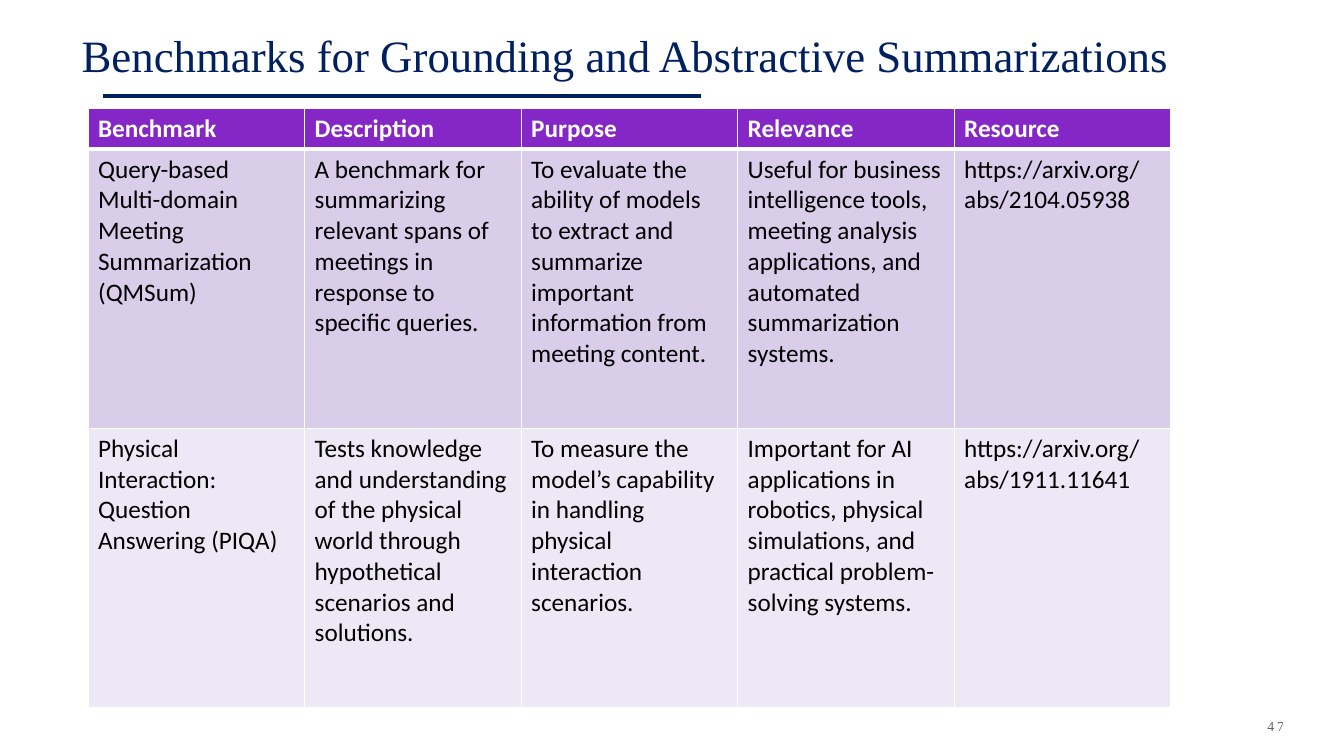
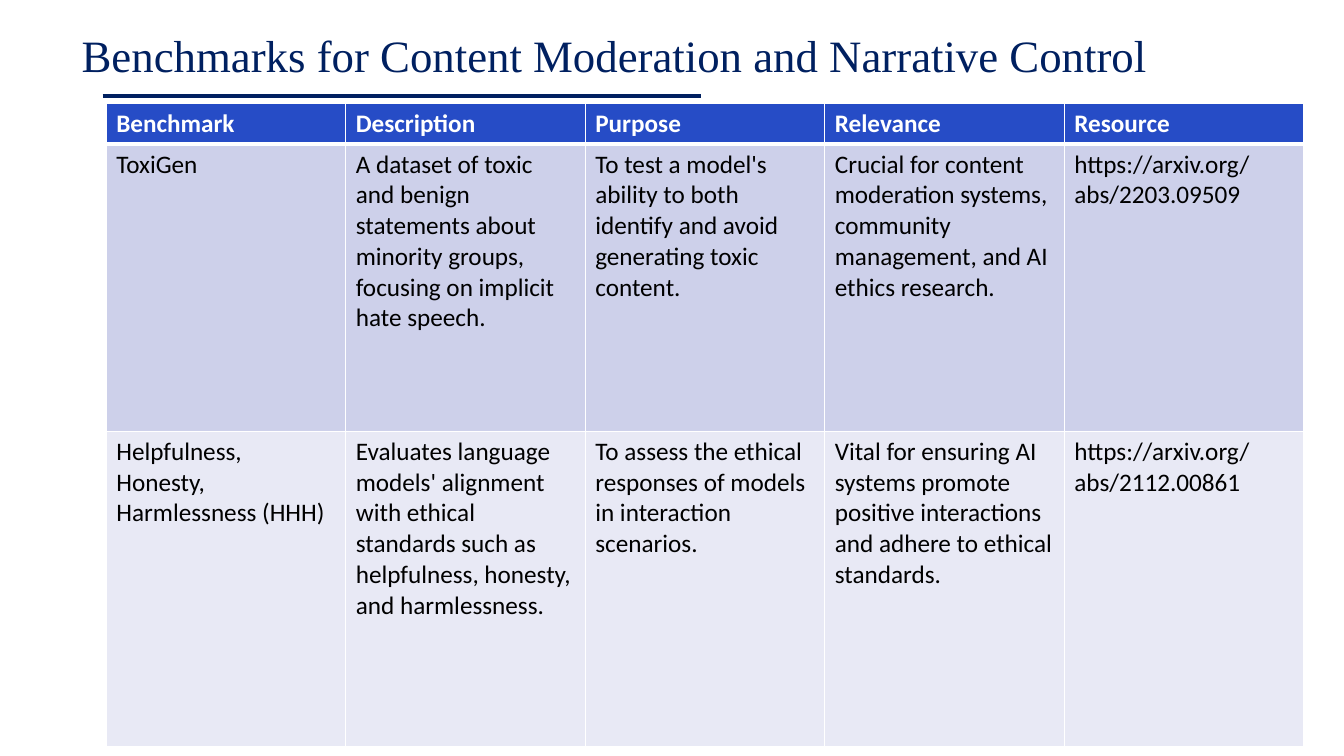
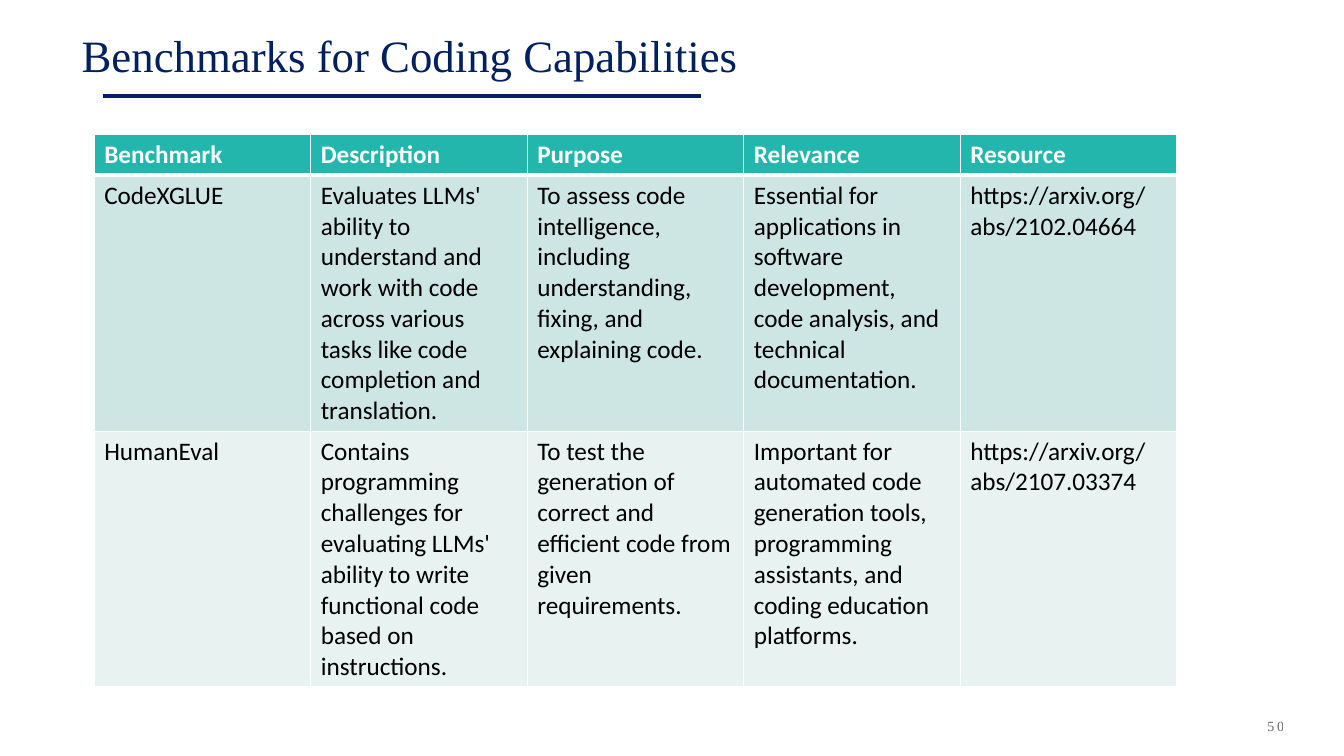
from pptx import Presentation
from pptx.util import Pt
from pptx.dml.color import RGBColor as Rgb
from pptx.enum.shapes import MSO_CONNECTOR as Conn
from pptx.enum.text import MSO_ANCHOR as Anchor, MSO_AUTO_SIZE as Fit, PP_ALIGN as Align
from pptx.oxml import parse_xml
from pptx.oxml.ns import nsdecls
from lxml.etree import SubElement

NS = "{http://schemas.openxmlformats.org/drawingml/2006/main}"
SERIF, SANS = "Times New Roman", "Calibri"
HEX = {"navy": "002060", "white": "FFFFFF", "black": "000000"}
HEADS = ["Benchmark", "Description", "Purpose", "Relevance", "Resource"]

DECK = [
    {
        "title": "Benchmarks for Grounding and Abstractive Summarizations",
        "page": "47",
        "left": 62.9, "top": 77.3, "width": 773.3,
        "rows": [29.2, 199.4, 199.4],
        "fills": ["8526C6", "D9CDEA", "EDE8F5"],
        "cells": [
            ["Query-based Multi-domain Meeting Summarization (QMSum)",
             "A benchmark for summarizing relevant spans of meetings in response to specific queries.",
             "To evaluate the ability of models to extract and summarize important information from meeting content.",
             "Useful for business intelligence tools, meeting analysis applications, and automated summarization systems.",
             "https://arxiv.org/abs/2104.05938"],
            ["Physical Interaction: Question Answering (PIQA)",
             "Tests knowledge and understanding of the physical world through hypothetical scenarios and solutions.",
             "To measure the model’s capability in handling physical interaction scenarios.",
             "Important for AI applications in robotics, physical simulations, and practical problem-solving systems.",
             "https://arxiv.org/abs/1911.11641"],
        ],
    },
    {
        "title": "Benchmarks for Content Moderation and Narrative Control",
        "page": None,
        "left": 75.9, "top": 73.7, "width": 855.4,
        "rows": [29.2, 205.2, 225.4],
        "fills": ["264CC6", "CDD0EA", "E8E9F5"],
        "cells": [
            ["ToxiGen",
             "A dataset of toxic and benign statements about minority groups, focusing on implicit hate speech.",
             "To test a model's ability to both identify and avoid generating toxic content.",
             "Crucial for content moderation systems, community management, and AI ethics research.",
             "https://arxiv.org/abs/2203.09509"],
            ["Helpfulness, Honesty, Harmlessness (HHH)",
             "Evaluates language models' alignment with ethical standards such as helpfulness, honesty, and harmlessness.",
             "To assess the ethical responses of models in interaction scenarios.",
             "Vital for ensuring AI systems promote positive interactions and adhere to ethical standards.",
             "https://arxiv.org/abs/2112.00861"],
        ],
    },
    {
        "title": "Benchmarks for Coding Capabilities",
        "page": "50",
        "left": 67.3, "top": 96, "width": 773.3,
        "rows": [29.2, 182.8, 182.8],
        "fills": ["23B6AC", "CDE5E3", "E8F3F1"],
        "cells": [
            ["CodeXGLUE",
             "Evaluates LLMs' ability to understand and work with code across various tasks like code completion and translation.",
             "To assess code intelligence, including understanding, fixing, and explaining code.",
             "Essential for applications in software development, code analysis, and technical documentation.",
             "https://arxiv.org/abs/2102.04664"],
            ["HumanEval",
             "Contains programming challenges for evaluating LLMs' ability to write functional code based on instructions.",
             "To test the generation of correct and efficient code from given requirements.",
             "Important for automated code generation tools, programming assistants, and coding education platforms.",
             "https://arxiv.org/abs/2107.03374"],
        ],
    },
]


def write(frame, text, size=18, font=SANS, color="black", bold=False, align=Align.LEFT):
    para = frame.paragraphs[0]
    para.alignment = align
    run = para.add_run()
    run.text = text
    run.font.size, run.font.name, run.font.bold = Pt(size), font, bold
    run.font.color.rgb = Rgb.from_string(HEX[color])
    return run


def place(shape, left, top, width, height):
    shape.left, shape.top = Pt(left), Pt(top)
    shape.width, shape.height = Pt(width), Pt(height)


def setup(layout):
    title = layout.placeholders[0]
    place(title, 51.1, -13, 892.8, 74.9)
    title.text_frame.vertical_anchor = Anchor.BOTTOM
    title.text_frame.auto_size = Fit.NONE


def rule(slide, layout):
    line = slide.shapes.add_connector(Conn.STRAIGHT, Pt(73.4), Pt(68.4), Pt(500.4), Pt(68.4))
    line.line.color.rgb = Rgb.from_string(HEX["navy"])
    line.line.width = Pt(2.5)
    SubElement(line.element.spPr, NS + "effectLst")
    layout.element.cSld.spTree.append(line.element)


def border(cell, base):
    props = cell._tc.get_or_add_tcPr()
    for spot, side in enumerate("LRTB"):
        width = Pt(base if side == "B" else 1)
        props.insert(spot, parse_xml(
            f'<a:ln{side} {nsdecls("a")} w="{width}"><a:solidFill>'
            f'<a:srgbClr val="{HEX["white"]}"/></a:solidFill></a:ln{side}>'))


def grid(slide, data):
    rows = [HEADS] + data["cells"]
    frame = slide.shapes.add_table(len(rows), len(HEADS), Pt(data["left"]), Pt(data["top"]),
                                   Pt(data["width"]), Pt(sum(data["rows"])))
    table = frame.table
    for col in table.columns:
        col.width = Pt(data["width"] / len(HEADS))
    for r, (texts, high, fill) in enumerate(zip(rows, data["rows"], data["fills"])):
        table.rows[r].height = Pt(high)
        head = r == 0
        for c, text in enumerate(texts):
            cell = table.cell(r, c)
            cell.fill.solid()
            cell.fill.fore_color.rgb = Rgb.from_string(fill)
            border(cell, 3 if head else 1)
            write(cell.text_frame, text, color="white" if head else "black", bold=head)


def number(slide, text):
    box = slide.shapes.add_textbox(Pt(786.2), Pt(500.4), Pt(138.2), Pt(36))
    box.text_frame.word_wrap = True
    box.text_frame.vertical_anchor = Anchor.MIDDLE
    run = write(box.text_frame, text, size=10, font=SERIF, align=Align.RIGHT)
    props = run.font._element
    props.set("spc", "200")
    tone = props.find(f"{NS}solidFill/{NS}srgbClr")
    SubElement(tone, NS + "alpha").set("val", "60000")


def main():
    deck = Presentation()
    deck.slide_width, deck.slide_height = Pt(960), Pt(540)
    layout = deck.slide_layouts[5]
    setup(layout)
    for data in DECK:
        slide = deck.slides.add_slide(layout)
        if data is DECK[0]:
            rule(slide, layout)
        write(slide.shapes.title.text_frame, data["title"], size=32, font=SERIF, color="navy")
        if data["page"]:
            number(slide, data["page"])
        grid(slide, data)
    deck.save("out.pptx")


if __name__ == "__main__":
    main()
